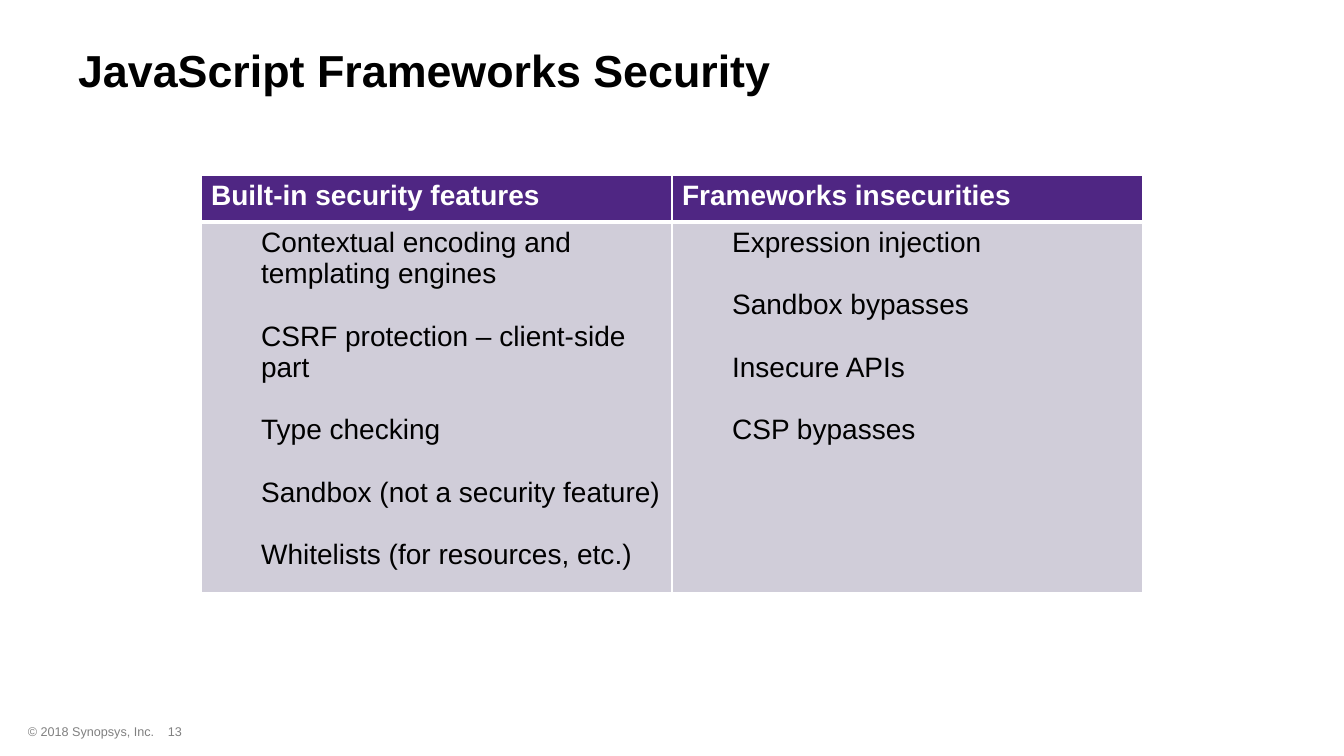
from lxml.etree import SubElement
from pptx import Presentation
from pptx.dml.color import RGBColor
from pptx.enum.text import MSO_ANCHOR, PP_ALIGN
from pptx.oxml.ns import qn
from pptx.util import Emu, Pt

BLACK = RGBColor(0x00, 0x00, 0x00)
WHITE = RGBColor(0xFF, 0xFF, 0xFF)
GREY = RGBColor(0x80, 0x80, 0x80)
PURPLE = RGBColor(0x4F, 0x26, 0x83)
LILAC = RGBColor(0xD0, 0xCD, 0xD9)

TITLE = "JavaScript Frameworks Security"
COLUMNS = {
    "Built-in security features": [
        "Contextual encoding and templating engines",
        "CSRF protection – client-side part",
        "Type checking",
        "Sandbox (not a security feature)",
        "Whitelists (for resources, etc.)",
    ],
    "Frameworks insecurities": [
        "Expression injection",
        "Sandbox bypasses",
        "Insecure APIs",
        "CSP bypasses",
    ],
}
FOOTERS = [
    ("© 2018 Synopsys, Inc.", (18, 719, 414, 25), PP_ALIGN.LEFT),
    ("13", (128, 719, 94, 25), PP_ALIGN.CENTER),
]

SLIDE_SIZE = (1344, 756)
TITLE_BOX = (68, 7, 1276, 126)
TABLE_LEFT, TABLE_TOP = 201, 175
COLUMN_WIDTH = 471
ROW_HEIGHTS = (47, 353)
ITEM_INDENT = 50
ITEM_GAP = Pt(22.3)
THIN, THICK = Pt(1), Pt(3)

TITLE_FONT = {"name": "Arial", "size": Pt(32), "bold": True}
HEADER_FONT = {"name": "Arial", "size": Pt(20), "bold": True}
ITEM_FONT = {"name": "Arial", "size": Pt(20), "bold": False}
FOOTER_FONT = {"name": "Arial", "size": Pt(9), "bold": False}


def px(length):
    return Emu(round(length * 914400 / 100.8))


def write(paragraph, text, font_format, color):
    paragraph.text = text
    font = paragraph.runs[0].font
    for name, value in font_format.items():
        setattr(font, name, value)
    font.color.rgb = color


def style_cell(cell, fill, top, bottom):
    """Set white borders, then the fill, in the order the schema asks for."""
    properties = cell._tc.get_or_add_tcPr()
    for side, width in (("L", THIN), ("R", THIN), ("T", top), ("B", bottom)):
        line = SubElement(properties, qn(f"a:ln{side}"), w=str(width))
        solid = SubElement(line, qn("a:solidFill"))
        SubElement(solid, qn("a:srgbClr"), val=str(WHITE))
    cell.fill.solid()
    cell.fill.fore_color.rgb = fill


def add_title(slide):
    title = slide.shapes.title
    title.left, title.top, title.width, title.height = map(px, TITLE_BOX)
    frame = title.text_frame
    frame.word_wrap = True
    frame.vertical_anchor = MSO_ANCHOR.MIDDLE
    write(frame.paragraphs[0], TITLE, TITLE_FONT, BLACK)
    frame.paragraphs[0].alignment = PP_ALIGN.LEFT


def add_footers(slide):
    for text, box, alignment in FOOTERS:
        frame = slide.shapes.add_textbox(*map(px, box)).text_frame
        frame.word_wrap = True
        write(frame.paragraphs[0], text, FOOTER_FONT, GREY)
        frame.paragraphs[0].alignment = alignment


def add_comparison(slide):
    table = slide.shapes.add_table(
        len(ROW_HEIGHTS), len(COLUMNS), px(TABLE_LEFT), px(TABLE_TOP),
        px(COLUMN_WIDTH * len(COLUMNS)), px(sum(ROW_HEIGHTS)),
    ).table
    for row, height in zip(table.rows, ROW_HEIGHTS):
        row.height = px(height)
    for index, (heading, items) in enumerate(COLUMNS.items()):
        table.columns[index].width = px(COLUMN_WIDTH)
        header, body = table.cell(0, index), table.cell(1, index)
        style_cell(header, PURPLE, THIN, THICK)
        style_cell(body, LILAC, THICK, THIN)
        write(header.text_frame.paragraphs[0], heading, HEADER_FONT, WHITE)
        frame = body.text_frame
        for position, item in enumerate(items):
            paragraph = frame.add_paragraph() if position else frame.paragraphs[0]
            write(paragraph, item, ITEM_FONT, BLACK)
            paragraph.level = 1
            paragraph.space_before = ITEM_GAP if position else Pt(0)
            properties = paragraph._p.get_or_add_pPr()
            properties.set("marL", str(px(ITEM_INDENT)))
            properties.set("indent", "0")


def main():
    presentation = Presentation()
    presentation.slide_width, presentation.slide_height = map(px, SLIDE_SIZE)
    slide = presentation.slides.add_slide(presentation.slide_layouts[5])
    add_footers(slide)
    add_title(slide)
    add_comparison(slide)
    presentation.save("out.pptx")


if __name__ == "__main__":
    main()
